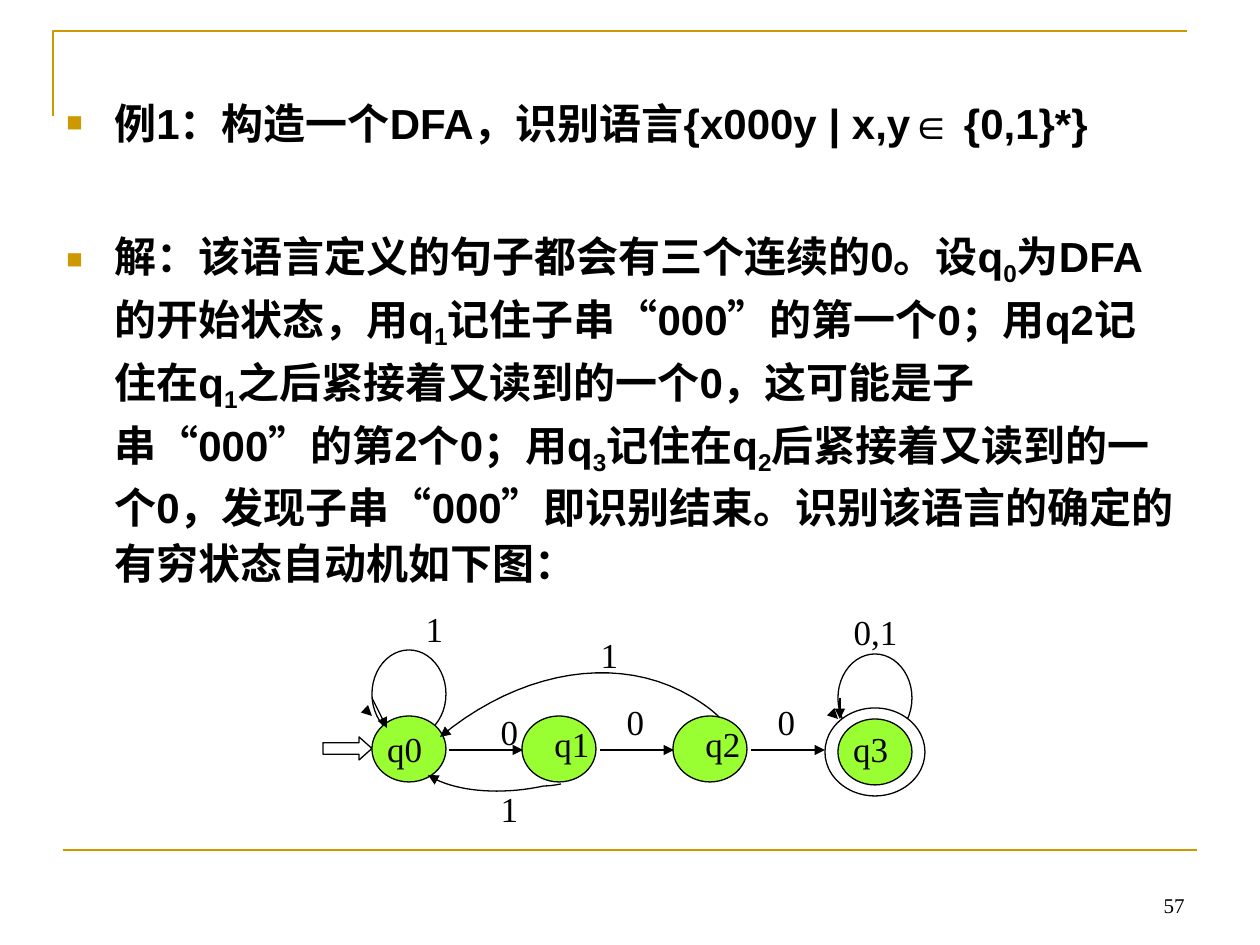
from lxml import etree
from pptx import Presentation
from pptx.dml.color import RGBColor
from pptx.enum.shapes import MSO_CONNECTOR as CONN, MSO_SHAPE as SHAPE
from pptx.enum.text import MSO_ANCHOR as ANCHOR, PP_ALIGN as ALIGN
from pptx.oxml.ns import qn
from pptx.util import Emu, Pt

SCALE = 914400 / 126
THEME = {
    "gold": "CC9900", "green": "99FF33", "white": "FFFFFF", "ink": "000000",
    "body_font": "Arial", "diagram_font": "Times New Roman",
    "body": 24, "label": 20, "number": 12, "thin": 0.75, "rule": 1.5,
}

BODY_BOX = (54, 86, 1134, 517)
BODY = [
    ("例1：构造一个DFA，识别语言{x000y | x,y∈ {0,1}*}", 0),
    ("解：该语言定义的句子都会有三个连续的0。设q_0为DFA的开始状态，用q_1记住子串“000”的第一个0；"
     "用q2记住在q_1之后紧接着又读到的一个0，这可能是子串“000”的第2个0；用q_3记住在q_2后紧接着又读到的一个0，"
     "发现子串“000”即识别结束。识别该语言的确定的有穷状态自动机如下图：", 44),
]
FRAME = [(53, 116), (53, 31), (1187, 31)]
BOTTOM_RULE = (63, 850, 1197, 850)
PAGE_NUMBER = ("57", (903, 861, 294, 63))

NODE_W, NODE_H, LOOP_H = 74, 66, 88
LABEL_W = 125
START_ARROW = (323, 737, 49, 23)
ACCEPT_RING = (825, 708, 100, 88)
LOOPS = [(372, 650), (838, 654)]
NODES = [
    ("q0 ", 372, 716, 721, 74),
    ("q1", 522, 716, 716, 100),
    ("q2", 673, 716, 716, 100),
    ("q3 ", 838, 719, 721, 74),
]
EDGE_LABELS = [
    ("0", 447, 704), ("0", 573, 694), ("0", 724, 694), ("0,1", 813, 604),
    ("1", 372, 601), ("1", 547, 627), ("1", 447, 781),
]
STEP = 151
ARROWS = [(449 + i * STEP, 750, 523 + i * STEP, 750) for i in range(3)] + [
    (371, 715, 372, 716), (372, 698, 387, 728),
    (837, 718, 838, 719), (840, 698, 840, 719),
]
BACK_EDGES = [
    [(719, 717), (711, 709), (702, 703), (692, 697), (620, 654), (522, 669), (440, 737)],
    [(561, 784), (556, 785), (550, 786), (544, 786), (498, 796), (452, 791), (428, 775)],
]


def px(*values):
    return [Emu(round(v * SCALE)) for v in values]


def color(name):
    return RGBColor.from_string(THEME[name])


def set_line(s, name, width, arrow=False):
    s.line.color.rgb = color(name)
    s.line.width = Pt(THEME[width])
    if arrow:
        ln = s.line._get_or_add_ln()
        etree.SubElement(ln, qn("a:tailEnd"), type="triangle")


def set_font(r, font, size, bold=False):
    r.font.name = THEME[font]
    r.font.size = Pt(THEME[size])
    r.font.bold = bold
    r.font.color.rgb = color("ink")


def add_preset(slide, kind, box, fill):
    s = slide.shapes.add_shape(kind, *px(*box))
    s.shadow.inherit = False
    s.fill.solid()
    s.fill.fore_color.rgb = color(fill)
    set_line(s, "ink", "thin")
    return s


def add_connector(slide, ends, name, width, arrow=False):
    c = slide.shapes.add_connector(CONN.STRAIGHT, *px(*ends))
    set_line(c, name, width, arrow)
    etree.SubElement(c._element.spPr, qn("a:effectLst"))


def add_path(slide, points, name, width, arrow=False):
    start, *rest = [px(*pt) for pt in points]
    builder = slide.shapes.build_freeform(*start)
    builder.add_line_segments(rest, close=False)
    s = builder.convert_to_shape()
    s.shadow.inherit = False
    s.fill.background()
    set_line(s, name, width, arrow)


def sample_curve(points, steps=20):
    curve = [points[0]]
    for i in range(0, len(points) - 1, 3):
        for k in range(1, steps + 1):
            t = k / steps
            weights = ((1 - t) ** 3, 3 * t * (1 - t) ** 2, 3 * t * t * (1 - t), t ** 3)
            curve.append(tuple(
                sum(w * pt[axis] for w, pt in zip(weights, points[i:i + 4]))
                for axis in (0, 1)))
    return curve


def add_label(slide, text, box, size="label", align=ALIGN.CENTER, anchor=ANCHOR.TOP):
    tf = slide.shapes.add_textbox(*px(*box)).text_frame
    tf.word_wrap = True
    tf.vertical_anchor = anchor
    tf.text = text
    p = tf.paragraphs[0]
    p.alignment = align
    set_font(p.runs[0], "diagram_font", size)


def add_bullet(p):
    pPr = p._p.get_or_add_pPr()
    indent = px(48)[0]
    pPr.set("marL", str(indent))
    pPr.set("indent", str(-indent))
    clr = etree.SubElement(pPr, qn("a:buClr"))
    etree.SubElement(clr, qn("a:srgbClr"), val=THEME["gold"])
    etree.SubElement(pPr, qn("a:buSzPct"), val="65000")
    etree.SubElement(pPr, qn("a:buFont"), typeface=THEME["body_font"])
    etree.SubElement(pPr, qn("a:buChar"), char="■")


def add_body(slide):
    tf = slide.shapes.add_textbox(*px(*BODY_BOX)).text_frame
    tf.word_wrap = True
    for i, (text, gap) in enumerate(BODY):
        p = tf.add_paragraph() if i else tf.paragraphs[0]
        add_bullet(p)
        p.line_spacing = 1.1
        p.space_before = Pt(gap)
        first, *rest = text.split("_")
        pieces = [(first, False)]
        for part in rest:
            pieces += [(part[0], True), (part[1:], False)]
        for piece, subscript in pieces:
            r = p.add_run()
            r.text = piece
            set_font(r, "body_font", "body", bold=True)
            if subscript:
                r.font._element.set("baseline", "-25000")


def add_automaton(slide):
    arrow = add_preset(slide, SHAPE.RIGHT_ARROW, START_ARROW, "white")
    arrow.adjustments[1] = 0.56
    for x, y in LOOPS:
        add_preset(slide, SHAPE.OVAL, (x, y, NODE_W, LOOP_H), "white")
    add_preset(slide, SHAPE.OVAL, ACCEPT_RING, "white")
    for name, x, y, text_y, text_w in NODES:
        add_preset(slide, SHAPE.OVAL, (x, y, NODE_W, NODE_H), "green")
        add_label(slide, name, (x, text_y, text_w, NODE_H))
    for ends in ARROWS:
        add_connector(slide, ends, "ink", "thin", arrow=True)
    for points in BACK_EDGES:
        add_path(slide, sample_curve(points), "ink", "thin", arrow=True)
    for text, x, y in EDGE_LABELS:
        add_label(slide, text, (x, y, LABEL_W, NODE_H))


def main():
    prs = Presentation()
    prs.slide_width, prs.slide_height = px(1260, 945)
    slide = prs.slides.add_slide(prs.slide_layouts[6])
    add_path(slide, FRAME, "gold", "rule")
    add_connector(slide, BOTTOM_RULE, "gold", "rule")
    add_body(slide)
    add_automaton(slide)
    number, box = PAGE_NUMBER
    add_label(slide, number, box, "number", ALIGN.RIGHT, ANCHOR.BOTTOM)
    prs.save("out.pptx")


if __name__ == "__main__":
    main()
